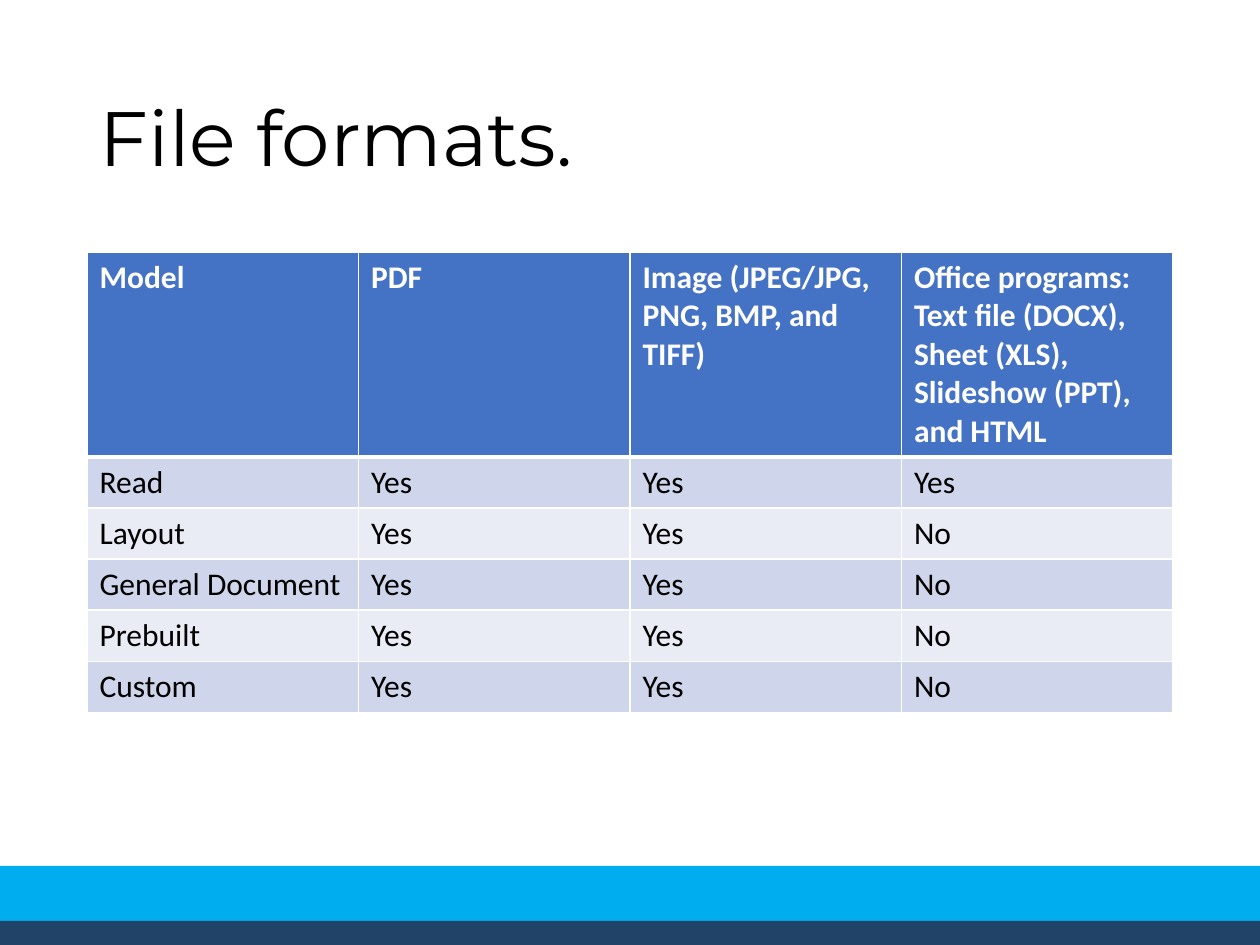
import lxml.etree
import pptx
import pptx.dml.color
import pptx.enum.shapes
import pptx.enum.text
import pptx.oxml.ns
import pptx.util

TITLE = "File formats."
ROWS = [
    ("Model", "PDF", "Image (JPEG/JPG, PNG, BMP, and TIFF)",
     "Office programs:\vText file (DOCX), Sheet (XLS), Slideshow (PPT), and HTML"),
    ("Read", "Yes", "Yes", "Yes"),
    ("Layout", "Yes", "Yes", "No"),
    ("General Document", "Yes", "Yes", "No"),
    ("Prebuilt", "Yes", "Yes", "No"),
    ("Custom", "Yes", "Yes", "No"),
]
THEME = {
    "title_font": "Montserrat", "title_size": 44,
    "body_font": "Calibri", "body_size": 18,
    "text": "000000", "header_text": "FFFFFF", "border": "FFFFFF",
    "header": "4472C4", "bands": ("CFD5EA", "E9EBF5"),
    "light_bar": "00ADEF", "dark_bar": "214368",
}

# Lengths in px, 126 to the inch
SLIDE_W, SLIDE_H = 1260, 945
TITLE_BOX = (87, 50, 1086, 183)
TABLE_LEFT, TABLE_TOP, TABLE_W = 87, 252, 1086
HEADER_H, ROW_H = 203, 51
FOOTER_BARS = [("light_bar", (-3, 866, 1269, 75)), ("dark_bar", (-3, 921, 1269, 24))]


def px(n):
    return round(n * 914400 / 126)


def rgb(name):
    return pptx.dml.color.RGBColor.from_string(name)


def style(p, font, size, color, bold=False):
    p.font.name = font
    p.font.size = pptx.util.Pt(size)
    p.font.bold = bold
    p.font.color.rgb = rgb(color)


def add_borders(cell, bottom, top):
    """Draw the four cell borders; bottom and top are widths in points."""
    tc_pr = cell._tc.get_or_add_tcPr()
    qn = pptx.oxml.ns.qn
    for side, width in (("L", 1), ("R", 1), ("T", top), ("B", bottom)):
        ln = lxml.etree.SubElement(tc_pr, qn(f"a:ln{side}"), w=str(pptx.util.Pt(width)))
        fill = lxml.etree.SubElement(ln, qn("a:solidFill"))
        lxml.etree.SubElement(fill, qn("a:srgbClr"), val=THEME["border"])


def add_title(slide):
    sp = slide.shapes.title
    sp.left, sp.top, sp.width, sp.height = map(px, TITLE_BOX)
    tf = sp.text_frame
    tf.text = TITLE
    tf.vertical_anchor = pptx.enum.text.MSO_ANCHOR.MIDDLE
    p = tf.paragraphs[0]
    p.alignment = pptx.enum.text.PP_ALIGN.LEFT
    p.line_spacing = 0.9
    style(p, THEME["title_font"], THEME["title_size"], THEME["text"])


def add_footer_bars(slide):
    for color, box in FOOTER_BARS:
        sp = slide.shapes.add_shape(pptx.enum.shapes.MSO_SHAPE.RECTANGLE, *map(px, box))
        sp.shadow.inherit = False
        sp.fill.solid()
        sp.fill.fore_color.rgb = rgb(THEME[color])
        sp.line.fill.background()


def add_formats_table(slide):
    n_rows, n_cols = len(ROWS), len(ROWS[0])
    height = HEADER_H + ROW_H * (n_rows - 1)
    table = slide.shapes.add_table(
        n_rows, n_cols, *map(px, (TABLE_LEFT, TABLE_TOP, TABLE_W, height))).table
    for col in table.columns:
        col.width = px(TABLE_W / n_cols)
    for i, texts in enumerate(ROWS):
        header = i == 0
        table.rows[i].height = px(HEADER_H if header else ROW_H)
        fill = THEME["header"] if header else THEME["bands"][(i - 1) % 2]
        color = THEME["header_text"] if header else THEME["text"]
        for j, text in enumerate(texts):
            cell = table.cell(i, j)
            cell.text = text
            add_borders(cell, bottom=3 if header else 1, top=3 if i == 1 else 1)
            cell.fill.solid()
            cell.fill.fore_color.rgb = rgb(fill)
            style(cell.text_frame.paragraphs[0], THEME["body_font"],
                  THEME["body_size"], color, bold=header)


def main():
    prs = pptx.Presentation()
    prs.slide_width, prs.slide_height = px(SLIDE_W), px(SLIDE_H)
    slide = prs.slides.add_slide(prs.slide_layouts.get_by_name("Title Only"))
    add_title(slide)
    add_footer_bars(slide)
    add_formats_table(slide)
    prs.save("out.pptx")


if __name__ == "__main__":
    main()
